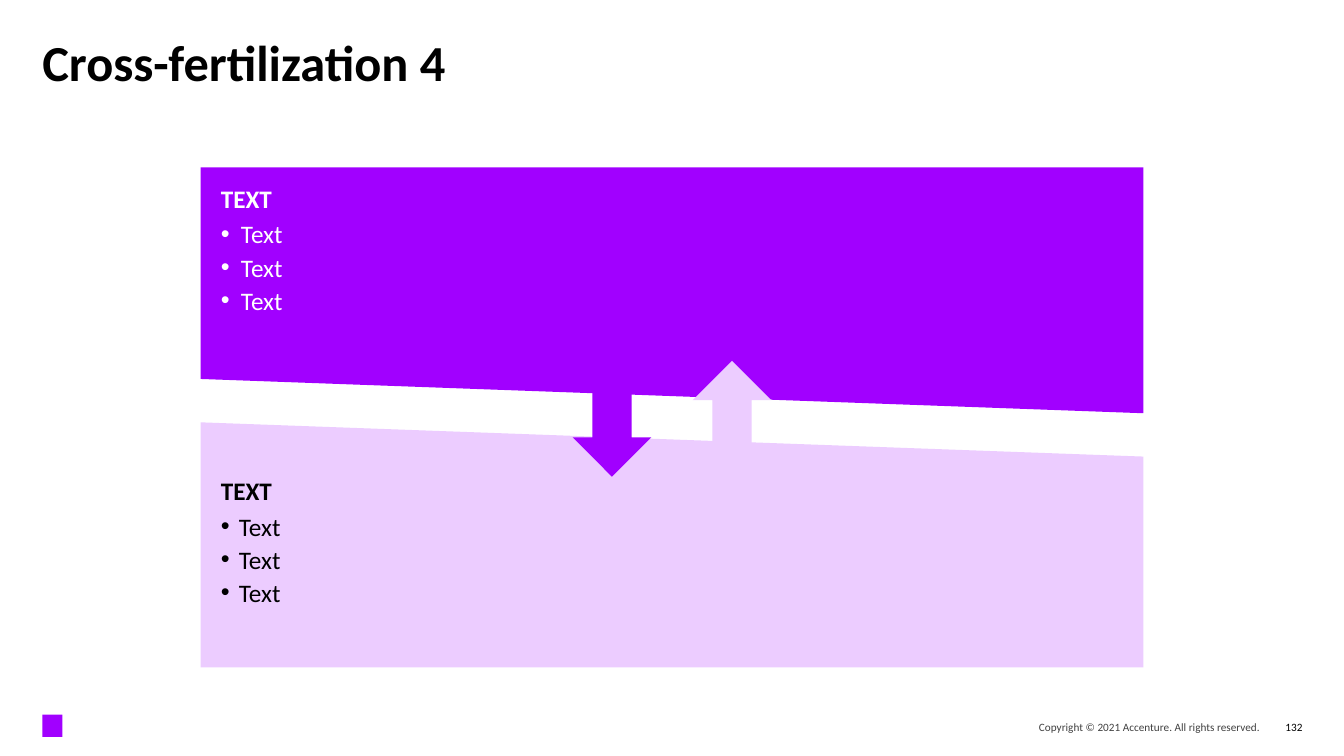
import lxml.etree
import pptx
import pptx.dml.color
import pptx.enum.shapes
import pptx.enum.text
import pptx.oxml.ns
import pptx.util

PX = 9144
SHAPES = pptx.enum.shapes.MSO_SHAPE
ALIGN = pptx.enum.text.PP_ALIGN
ANCHOR = pptx.enum.text.MSO_ANCHOR
PURPLE, LILAC, BLACK, WHITE = "A100FF", "ECCCFF", "000000", "FFFFFF"


def px(*lengths):
    return [length * PX for length in lengths]


def color(value):
    return pptx.dml.color.RGBColor.from_string(value)


def add_element(parent, tag, **attributes):
    return lxml.etree.SubElement(parent, pptx.oxml.ns.qn(tag), attributes)


def write(para, text, size=18, ink=BLACK, bold=False, opacity=100, align=ALIGN.LEFT,
          line=1.0, before=0, after=0, indent=0):
    para.alignment = align
    para.line_spacing = line
    para.space_before = pptx.util.Pt(before)
    para.space_after = pptx.util.Pt(after)
    if indent:
        properties = para._p.get_or_add_pPr()
        properties.set("marL", str(indent * PX))
        properties.set("indent", str(-indent * PX))
        add_element(properties, "a:buFont", typeface="Arial")
        add_element(properties, "a:buChar", char="•")
    span = para.add_run()
    span.text = text
    span.font.name = "Calibri"
    span.font.size = pptx.util.Pt(size)
    span.font.bold = bold
    span.font.color.rgb = color(ink)
    if opacity < 100:
        tint = span._r.find(".//" + pptx.oxml.ns.qn("a:srgbClr"))
        add_element(tint, "a:alpha", val=str(opacity * 1000))


class Painter:
    """Holds the style and the current page, and draws each kind of element."""

    def __init__(self, page):
        self.page = page

    def paint(self, shape, fill):
        shape.shadow.inherit = False
        shape.fill.solid()
        shape.fill.fore_color.rgb = color(fill)
        shape.line.fill.background()

    def shape(self, kind, left, top, width, height, fill):
        self.paint(self.page.shapes.add_shape(kind, *px(left, top, width, height)), fill)

    def outline(self, points, fill):
        start, *rest = [px(*point) for point in points]
        builder = self.page.shapes.build_freeform(*start)
        builder.add_line_segments(rest, close=True)
        self.paint(builder.convert_to_shape(), fill)

    def frame(self, left, top, width, height, insets=(0, 0, 0, 0), anchor=ANCHOR.TOP, wrap=True):
        box = self.page.shapes.add_textbox(*px(left, top, width, height))
        frame = box.text_frame
        frame.word_wrap = wrap
        frame.vertical_anchor = anchor
        (frame.margin_left, frame.margin_top,
         frame.margin_right, frame.margin_bottom) = px(*insets)
        return frame

    def label(self, text, *place, anchor=ANCHOR.TOP, wrap=True, **style):
        write(self.frame(*place, anchor=anchor, wrap=wrap).paragraphs[0], text, **style)

    def bullet_list(self, heading, items, *place, ink, indent):
        frame = self.frame(*place, insets=(20, 20, 16, 8))
        write(frame.paragraphs[0], heading, ink=ink, bold=True, line=0.85, after=3)
        for item in items:
            write(frame.add_paragraph(), item, ink=ink, before=1, after=1, indent=indent)


def main():
    deck = pptx.Presentation()
    deck.slide_width, deck.slide_height = px(1333, 750)
    painter = Painter(deck.slides.add_slide(deck.slide_layouts[6]))

    left, right, width = 199, 1134, 935
    items = ["Text"] * 3
    painter.shape(SHAPES.RECTANGLE, 42, 709, 20, 22, PURPLE)
    painter.label("Cross-fertilization 4", 42, 42, 1250, 88, size=36, bold=True, line=0.8)

    painter.outline([(left, 166), (right, 166), (right, 410), (left, 376)], PURPLE)
    painter.bullet_list("TEXT", items, left, 166, width, 205, ink=WHITE, indent=20)
    painter.outline([(left, 419), (right, 453), (right, 662), (left, 662)], LILAC)
    painter.shape(SHAPES.DOWN_ARROW, 568, 363, 78, 110, PURPLE)
    painter.bullet_list("TEXT", items, left, 456, width, 192, ink=BLACK, indent=18)
    painter.shape(SHAPES.UP_ARROW, 687, 358, 78, 110, LILAC)

    footer = dict(anchor=ANCHOR.MIDDLE, size=8, align=ALIGN.RIGHT)
    painter.label("Copyright © 2021 Accenture. All rights reserved.", 800, 710, 450, 22,
                  opacity=75, **footer)
    painter.label("132", 1256, 710, 36, 22, wrap=False, **footer)
    deck.save("out.pptx")


if __name__ == "__main__":
    main()
